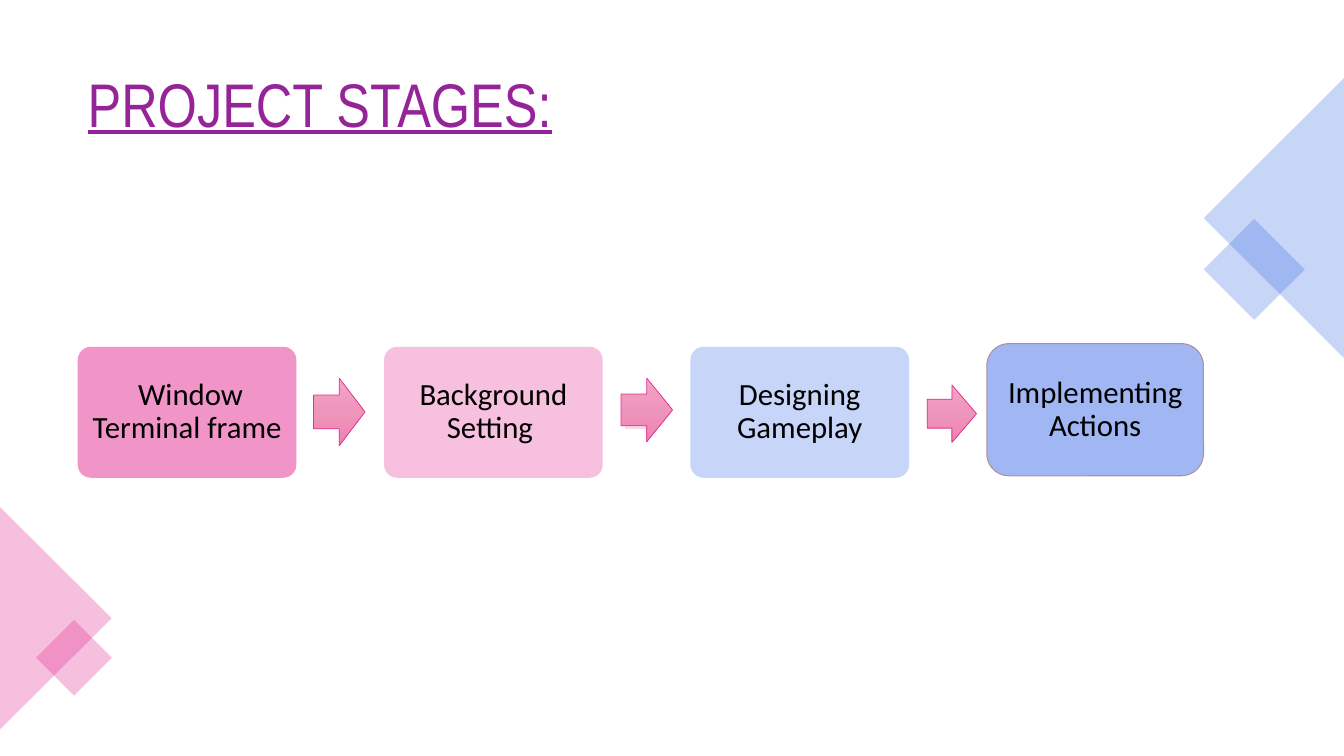
from copy import deepcopy
from dataclasses import dataclass

from lxml import etree
from pptx import Presentation
from pptx.dml.color import RGBColor
from pptx.enum.shapes import MSO_SHAPE
from pptx.enum.text import MSO_ANCHOR, PP_ALIGN
from pptx.oxml.ns import qn
from pptx.util import Cm, Pt

ROUNDED = MSO_SHAPE.ROUNDED_RECTANGLE
ARROW = MSO_SHAPE.RIGHT_ARROW
SQUARE = MSO_SHAPE.RECTANGLE
TRIANGLE = MSO_SHAPE.ISOSCELES_TRIANGLE
MIDDLE = MSO_ANCHOR.MIDDLE
CENTER = PP_ALIGN.CENTER

COLORS = {
    "white": "FFFFFF", "black": "000000", "title": "962499",
    "pink": "F194C7", "pale pink": "F7C0DE", "pale blue": "C7D5F8",
    "blue": "A0B7F3", "card edge": "B18E9E",
    "magenta": "E32D91", "royal": "4775E7",
    "arrow top": "F1A3C5", "arrow middle": "EE95BB", "arrow bottom": "F081B2",
    "pale top": "FBECF2", "pale middle": "F8DEE8", "pale bottom": "F9D9E5",
}
ARROW_FADE = ("arrow top", "arrow middle", "arrow bottom")
PALE_FADE = ("pale top", "pale middle", "pale bottom")


@dataclass
class Box:
    left: float
    top: float
    width: float
    height: float


@dataclass
class Card:
    label: str
    color: str
    box: Box
    corner: float = 0.1
    inset: float = 0.23
    edge: str = ""


@dataclass
class Arrow:
    box: Box
    fade: tuple[str, str, str] = ARROW_FADE
    shaft: float = 0.5
    edge: str = "magenta"


@dataclass
class Ornament:
    kind: int
    color: str
    box: Box
    rotation: int


def rgb(name: str) -> RGBColor:
    return RGBColor.from_string(COLORS[name])


def add_shape(page, kind: int, box: Box, edge: str = "", weight: float = 0.5):
    shape = page.shapes.add_shape(
        kind, Cm(box.left), Cm(box.top), Cm(box.width), Cm(box.height))
    shape.shadow.inherit = False
    if edge:
        shape.line.color.rgb = rgb(edge)
        shape.line.width = Pt(weight)
    else:
        shape.line.fill.background()
    return shape


def style_text(frame, text: str, font: str, size: int, color: str) -> None:
    frame.text = text
    frame.word_wrap = True
    frame.vertical_anchor = MIDDLE
    para = frame.paragraphs[0]
    para.line_spacing = 0.9
    span = para.runs[0]
    span.font.name = font
    span.font.size = Pt(size)
    span.font.color.rgb = rgb(color)


def draw_card(page, card: Card) -> None:
    shape = add_shape(page, ROUNDED, card.box, card.edge, 0.75)
    shape.adjustments[0] = card.corner
    shape.fill.solid()
    shape.fill.fore_color.rgb = rgb(card.color)
    frame = shape.text_frame
    style_text(frame, card.label, "Calibri", 22, "black")
    frame.paragraphs[0].alignment = CENTER
    frame.margin_left = frame.margin_right = Cm(card.inset)


def draw_arrow(page, arrow: Arrow) -> None:
    shape = add_shape(page, ARROW, arrow.box, arrow.edge)
    shape.adjustments[0] = arrow.shaft
    shape.fill.gradient()
    shape.fill.gradient_angle = 270
    # A default gradient has two stops; a third goes between them
    stops = shape._element.spPr.find(qn("a:gradFill")).find(qn("a:gsLst"))
    stops.insert(1, deepcopy(stops[0]))
    for index, (stop, name) in enumerate(zip(shape.fill.gradient_stops, arrow.fade)):
        stop.position = index / 2
        stop.color.rgb = rgb(name)


def draw_ornament(page, ornament: Ornament) -> None:
    shape = add_shape(page, ornament.kind, ornament.box)
    shape.rotation = ornament.rotation
    shape.fill.solid()
    shape.fill.fore_color.rgb = rgb(ornament.color)
    color = shape._element.spPr.find(qn("a:solidFill"))[0]
    etree.SubElement(color, qn("a:alpha")).set("val", "30000")


# Page
deck = Presentation()
deck.slide_width, deck.slide_height = Cm(33.87), Cm(19.05)
page = deck.slides.add_slide(deck.slide_layouts[6])
page.background.fill.solid()
page.background.fill.fore_color.rgb = rgb("white")

# Title
title = page.shapes.add_textbox(Cm(1.96), Cm(1.14), Cm(30.2), Cm(3.15))
style_text(title.text_frame, "PROJECT STAGES:", "Arial Narrow", 44, "title")
title.text_frame.paragraphs[0].runs[0].font.underline = True

# Stage cards: three on an even pitch, the last one outlined
STAGES = [
    (" Window Terminal frame", "pink"),
    ("Background Setting ", "pale pink"),
    ("Designing Gameplay", "pale blue"),
]
CARD_LEFT, CARD_PITCH = 1.96, 7.72
cards = [
    Card(label, color, Box(CARD_LEFT + index * CARD_PITCH, 8.74, 5.51, 3.3))
    for index, (label, color) in enumerate(STAGES)
]
cards.append(Card("Implementing Actions", "blue", Box(24.87, 8.66, 5.46, 3.33),
                  corner=0.167, inset=0.25, edge="card edge"))
for card in cards:
    draw_card(page, card)

# Corner ornaments
ORNAMENTS = [
    Ornament(SQUARE, "royal", Box(30.71, 5.89, 1.8, 1.8), 45),
    Ornament(TRIANGLE, "royal", Box(28.58, 3.73, 7.04, 3.53), 270),
    Ornament(TRIANGLE, "magenta", Box(-1.4, 14.17, 5.61, 2.82), 90),
    Ornament(SQUARE, "magenta", Box(1.19, 15.9, 1.35, 1.35), 45),
]
for ornament in ORNAMENTS:
    draw_ornament(page, ornament)

# Arrows between the stages, the second over a paler one
ARROWS = [
    Arrow(Box(7.9, 9.53, 1.3, 1.7)),
    Arrow(Box(15.75, 9.7, 1.17, 1.37), PALE_FADE, shaft=0.6, edge=""),
    Arrow(Box(15.65, 9.53, 1.3, 1.6)),
    Arrow(Box(23.37, 9.7, 1.24, 1.45)),
]
for arrow in ARROWS:
    draw_arrow(page, arrow)

deck.save("out.pptx")
